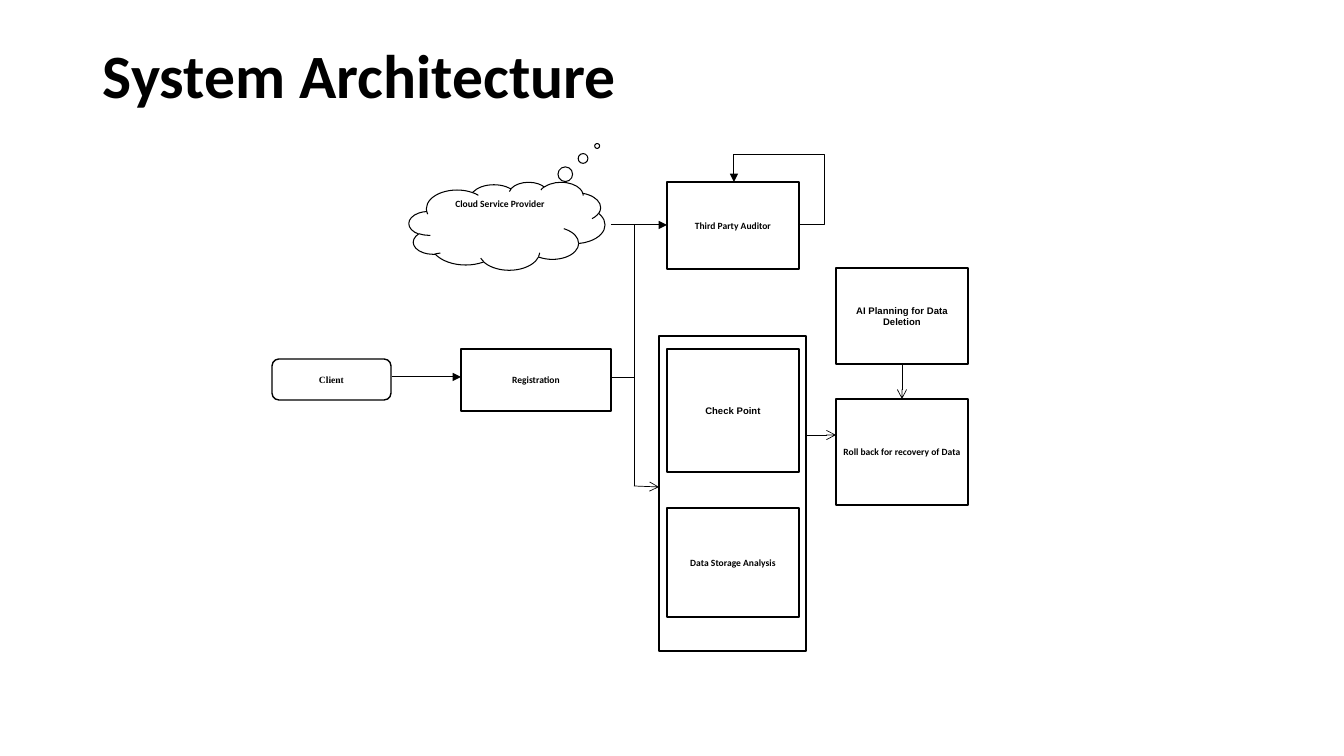
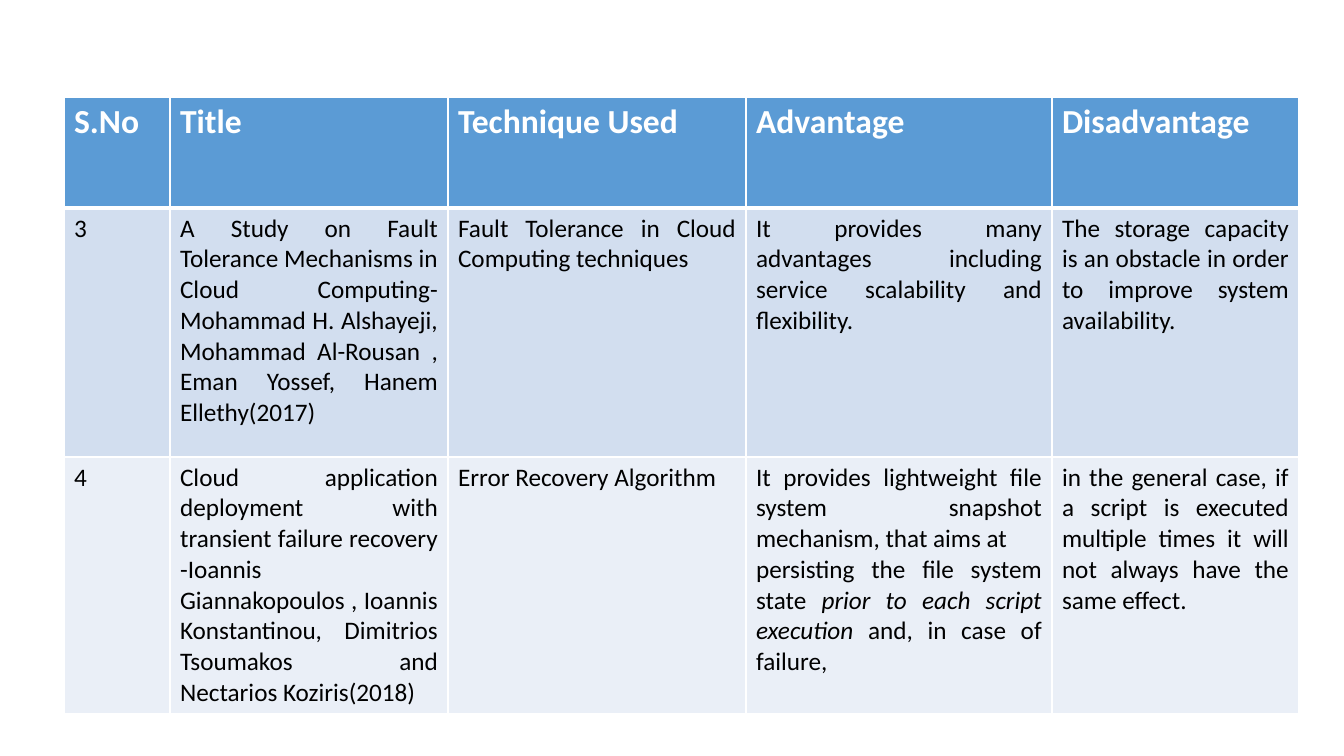
from pptx import Presentation
from pptx.dml.color import RGBColor
from pptx.enum.shapes import MSO_CONNECTOR, MSO_SHAPE
from pptx.enum.text import MSO_ANCHOR, PP_ALIGN
from pptx.oxml.ns import qn
from pptx.util import Emu, Pt
from lxml import etree

RECT = MSO_SHAPE.RECTANGLE
ROUND = MSO_SHAPE.ROUNDED_RECTANGLE
CLOUD = MSO_SHAPE.CLOUD_CALLOUT
LINE = MSO_CONNECTOR.STRAIGHT
ELBOW = MSO_CONNECTOR.ELBOW
TOP, MIDDLE = MSO_ANCHOR.TOP, MSO_ANCHOR.MIDDLE
LEFT, CENTER, JUSTIFY = PP_ALIGN.LEFT, PP_ALIGN.CENTER, PP_ALIGN.JUSTIFY

BLACK = RGBColor(0x00, 0x00, 0x00)
WHITE = RGBColor(0xFF, 0xFF, 0xFF)
BLUE = RGBColor(0x5B, 0x9B, 0xD5)
PALE = RGBColor(0xD2, 0xDE, 0xEF)
LIGHT = RGBColor(0xEA, 0xEF, 0xF7)

FONT = "Calibri"
SCALE = 914400 / 100.8
INSETS = dict(margin_left=6, margin_top=3, margin_right=6, margin_bottom=3)

BOXES = [
    ("Registration", FONT, (461, 349, 150, 62)),
    ("Third Party Auditor", FONT, (667, 182, 132, 87)),
    ("", FONT, (659, 336, 147, 315)),
    ("Check Point", "Arial", (667, 349, 132, 123)),
    ("Data Storage Analysis", FONT, (667, 508, 132, 109)),
    ("Roll back for recovery of Data", FONT, (836, 399, 132, 106)),
    ("AI Planning for Data Deletion", "Arial", (836, 268, 132, 96)),
]
LINKS = [
    ((634, 225, 634, 486), 0.5, None),
    ((611, 377, 634, 377), 0.5, None),
    ((634, 486, 659, 487), 0.5, "arrow"),
    ((806, 435, 836, 435), 0.5, "arrow"),
    ((902, 365, 902, 399), 0.5, "arrow"),
    ((611, 225, 667, 225), 0.75, "triangle"),
    ((392, 377, 461, 377), 0.75, "triangle"),
]
COLS = [106, 278, 298, 306, 247]
ROWS = [111, 249, 249]
STUDIES = [
    ["S.No", "Title", "Technique Used", "Advantage", "Disadvantage"],
    ["3",
     "A Study on Fault Tolerance Mechanisms in Cloud Computing-Mohammad H. "
     "Alshayeji, Mohammad Al-Rousan , Eman Yossef, Hanem Ellethy(2017)",
     "Fault Tolerance in Cloud Computing techniques",
     "It provides many advantages including service scalability and flexibility.",
     "The storage capacity is an obstacle in order to improve system availability."],
    ["4",
     "Cloud application deployment with transient failure recovery -Ioannis "
     "Giannakopoulos , Ioannis Konstantinou, Dimitrios Tsoumakos and "
     "Nectarios Koziris(2018)",
     "Error Recovery Algorithm",
     "It provides lightweight file system snapshot mechanism, that aims at\n"
     "persisting the file system state _prior to each script execution _"
     "and, in case of failure,",
     "in the general case, if a script is executed multiple times it will "
     "not always have the same effect."],
]


def px(size):
    return Emu(round(size * SCALE))


def assign(target, values):
    for name, value in values.items():
        setattr(target, name, value)


def write(frame, text, size, color, bold, align, font=FONT, space=1.0):
    for row, part in enumerate(text.split("\n")):
        para = frame.add_paragraph() if row else frame.paragraphs[0]
        assign(para, dict(alignment=align, line_spacing=space))
        for spot, piece in enumerate(part.split("_")):
            run = para.add_run()
            run.text = piece
            assign(run.font, dict(name=font, size=Pt(size), bold=bold,
                                  italic=spot % 2 == 1))
            run.font.color.rgb = color


def add_title(slide, text):
    frame = slide.shapes.add_textbox(*map(px, (93, 40, 1159, 146))).text_frame
    assign(frame, dict(word_wrap=True, vertical_anchor=TOP))
    write(frame, text, 44, BLACK, True, LEFT, space=0.9)


def add_node(slide, text, font, area, kind=RECT, fill=None, width=1,
             anchor=MIDDLE, adjust=()):
    node = slide.shapes.add_shape(kind, *map(px, area))
    node.shadow.inherit = False
    for spot, value in enumerate(adjust):
        node.adjustments[spot] = value
    if fill is None:
        node.fill.background()
    else:
        node.fill.solid()
        node.fill.fore_color.rgb = fill
    node.line.color.rgb = BLACK
    node.line.width = Pt(width)
    if text:
        frame = node.text_frame
        assign(frame, dict(word_wrap=True, vertical_anchor=anchor))
        assign(frame, {side: px(gap) for side, gap in INSETS.items()})
        write(frame, text, 6.8, BLACK, True, CENTER, font)


def add_link(slide, ends, width, head, kind=LINE):
    link = slide.shapes.add_connector(kind, *map(px, ends))
    link.line.color.rgb = BLACK
    link.line.width = Pt(width)
    props = link._element.spPr
    etree.SubElement(props, qn("a:effectLst"))
    if head:
        etree.SubElement(props.find(qn("a:ln")), qn("a:tailEnd"), type=head)
    return link


def add_loop(slide, ends, bends):
    link = add_link(slide, ends, 0.75, "triangle", ELBOW)
    shape = link._element.spPr.find(qn("a:prstGeom"))
    shape.set("prst", "bentConnector4")
    guides = shape.find(qn("a:avLst"))
    for spot, bend in enumerate(bends, 1):
        etree.SubElement(guides, qn("a:gd"), name=f"adj{spot}",
                         fmla=f"val {round(bend * 100000)}")


def add_edges(cell, base):
    props = cell._tc.get_or_add_tcPr()
    for spot, (side, width) in enumerate(
            [("lnL", 1), ("lnR", 1), ("lnT", 1), ("lnB", base)]):
        edge = etree.Element(qn(f"a:{side}"), w=str(Pt(width)))
        fill = etree.SubElement(edge, qn("a:solidFill"))
        etree.SubElement(fill, qn("a:srgbClr"), val=str(WHITE))
        props.insert(spot, edge)


def add_grid(slide, left, top):
    area = (left, top, sum(COLS), sum(ROWS))
    grid = slide.shapes.add_table(len(ROWS), len(COLS), *map(px, area)).table
    for col, width in zip(grid.columns, COLS):
        col.width = px(width)
    for row, height in zip(grid.rows, ROWS):
        row.height = px(height)
    looks = [
        (BLUE, 3, (24, WHITE, True, LEFT)),
        (PALE, 1, (18, BLACK, False, JUSTIFY)),
        (LIGHT, 1, (18, BLACK, False, JUSTIFY)),
    ]
    for row, texts, (fill, base, style) in zip(grid.rows, STUDIES, looks):
        for cell, text in zip(row.cells, texts):
            cell.fill.solid()
            cell.fill.fore_color.rgb = fill
            add_edges(cell, 3 if text in STUDIES[0] else base)
            write(cell.text_frame, text, *style)
    for cell in grid.rows[1].cells:
        cell._tc.tcPr.find(qn("a:lnT")).set("w", str(Pt(3)))


def draw_system(slide):
    add_title(slide, "System Architecture")
    for text, font, area in BOXES:
        add_node(slide, text, font, area)
    add_node(slide, "Client", "Times New Roman", (272, 359, 119, 41),
             ROUND, WHITE, adjust=[0.17])
    add_node(slide, "Cloud Service Provider", FONT, (409, 182, 196, 88),
             CLOUD, WHITE, 0.75, TOP, [0.46, -0.91])
    for ends, width, head in LINKS:
        add_link(slide, ends, width, head)
    add_loop(slide, (799, 225, 734, 182), (-0.39, 1.63))


def main():
    deck = Presentation()
    assign(deck, dict(slide_width=px(1344), slide_height=px(756)))
    blank = deck.slide_layouts[6]
    draw_system(deck.slides.add_slide(blank))
    add_grid(deck.slides.add_slide(blank), 64, 97)
    deck.save("out.pptx")


main()
